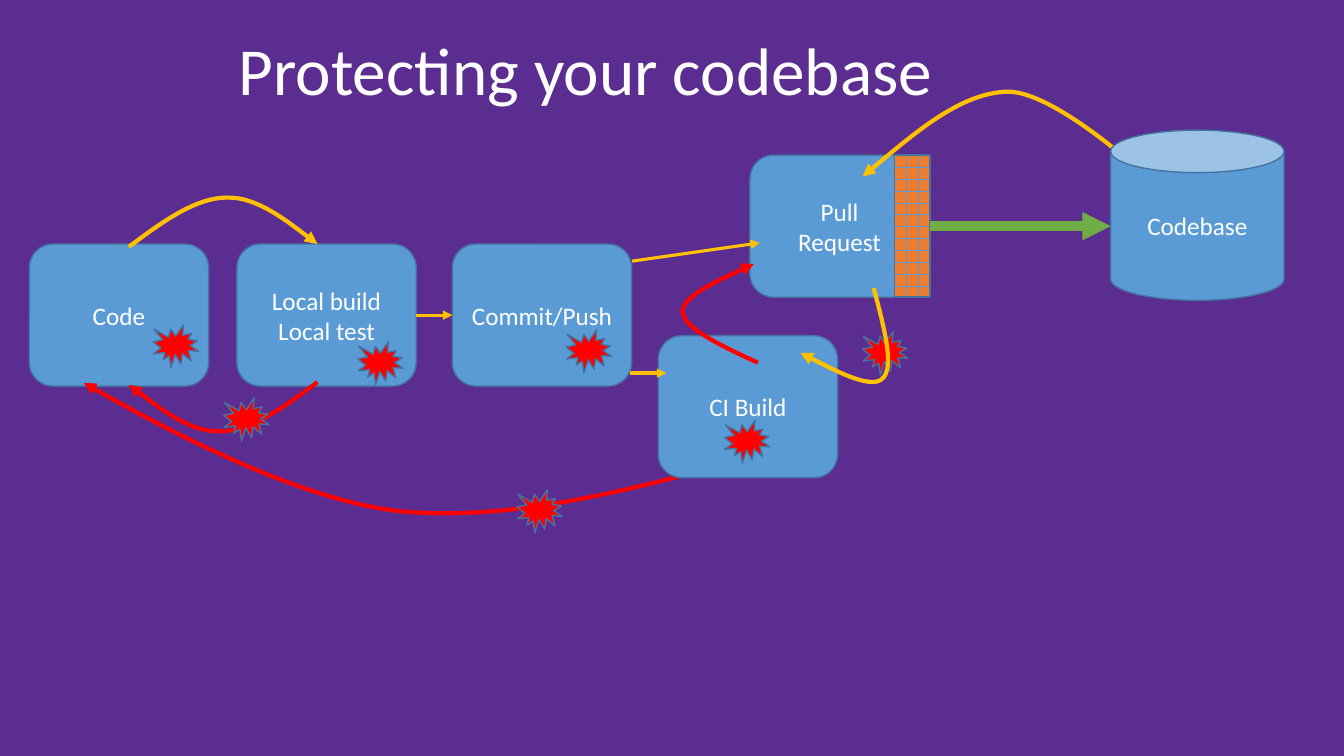
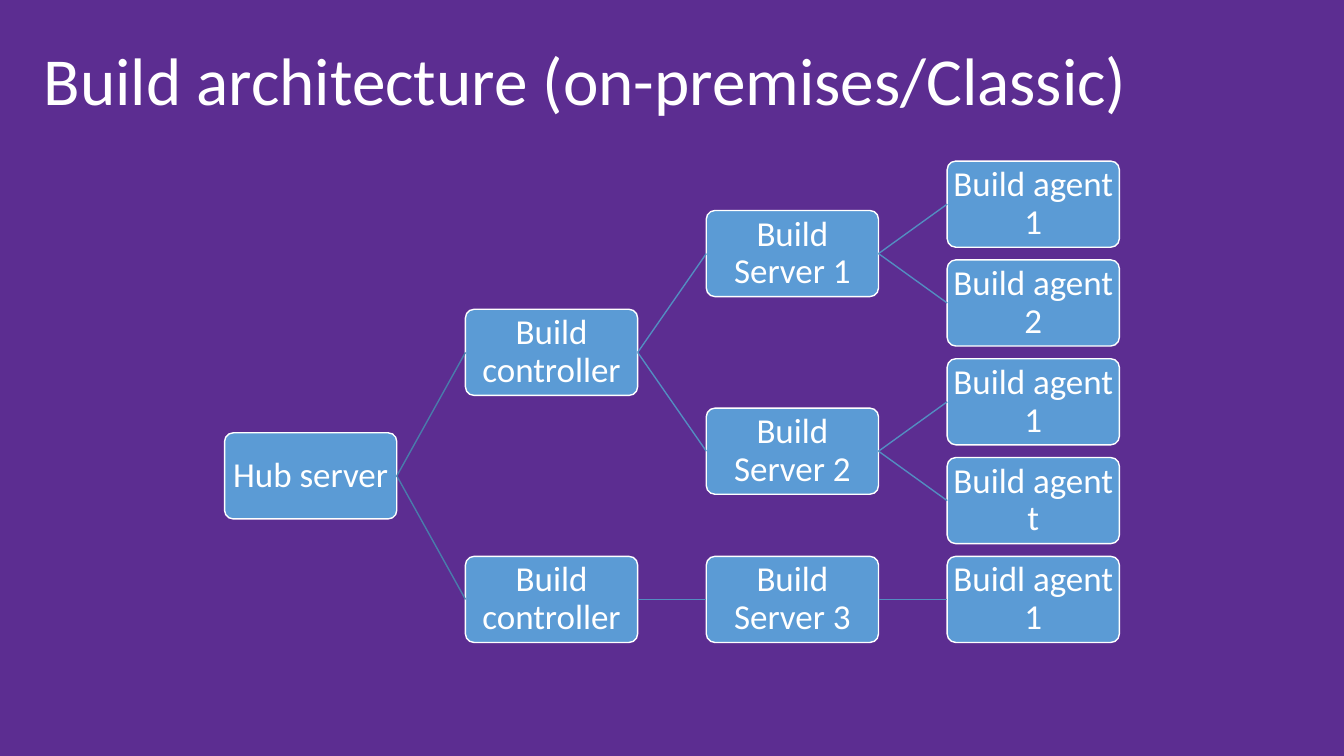
from lxml.etree import SubElement
from pptx import Presentation
from pptx.dml.color import RGBColor
from pptx.enum.dml import MSO_PATTERN
from pptx.enum.shapes import MSO_CONNECTOR, MSO_SHAPE
from pptx.enum.text import MSO_ANCHOR, PP_ALIGN
from pptx.oxml.ns import qn
from pptx.util import Cm, Pt

PURPLE = RGBColor(0x5C, 0x2D, 0x91)
WHITE = RGBColor(0xFF, 0xFF, 0xFF)
BLUE = RGBColor(0x5B, 0x9B, 0xD5)
NAVY = RGBColor(0x43, 0x73, 0x9E)
YELLOW = RGBColor(0xFF, 0xC0, 0x00)
RED = RGBColor(0xFF, 0x00, 0x00)
GREEN = RGBColor(0x70, 0xAD, 0x47)
ORANGE = RGBColor(0xED, 0x7D, 0x31)
BRANCHES = [RGBColor(0x49, 0x7C, 0xAB), RGBColor(0x53, 0x8D, 0xC1)]
FONT = "Calibri"

# Content of the workflow slide (all lengths in cm)
STEP_W, STEP_H = 4.52, 3.58
LOCAL_STEPS = [
    ("Code", 0.74, 6.15),
    ("Local build\nLocal test", 5.97, 6.15),
    ("Commit/Push", 11.4, 6.15),
]
SERVER_STEPS = [("CI Build", 16.59, 8.46), ("Pull\nRequest", 18.9, 3.91)]
SEAL_W, SEAL_H = 1.14, 1.09
SEALS = [(3.86, 8.18), (9.02, 8.61), (5.64, 10.03), (14.27, 8.31),
         (18.26, 10.59), (13.03, 12.34), (21.74, 8.36)]
GATE = (22.55, 3.91, 0.89, STEP_H)
STORE = (27.99, 3.28, 4.37, 4.29)
# Each curve: start, then control, control, end for every Bezier segment
REAR_CURVES = [
    (YELLOW, [(3.25, 6.22), (4.09, 5.59), (4.93, 4.98), (5.72, 4.98),
              (6.5, 4.95), (8, 6.15), (8, 6.15)]),
    (RED, [(8, 9.63), (7.16, 10.26), (6.32, 10.87), (5.54, 10.87),
           (4.75, 10.9), (3.25, 9.7), (3.25, 9.7)]),
    (RED, [(19.15, 11.46), (16.03, 12.32), (12.9, 13.16), (10.06, 12.88),
           (7.21, 12.57), (2.11, 9.65), (2.11, 9.65)]),
]
FRONT_CURVES = [
    (YELLOW, [(22.02, 7.26), (22.28, 8.26), (22.56, 9.27), (22.23, 9.55),
              (21.92, 9.83), (20.17, 8.89), (20.17, 8.89)]),
    (RED, [(19.1, 9.14), (18.16, 8.71), (17.22, 8.26), (17.2, 7.85),
           (17.2, 7.44), (19, 6.65), (19, 6.65)]),
    (YELLOW, [(28.78, 4.34), (28.78, 4.34), (26.57, 2.31), (25.4, 2.31),
              (24.23, 2.34), (22.99, 3.4), (21.74, 4.45)]),
]

# Content of the architecture slide: (label, children)
TREE = ("Hub server", [
    ("Build controller", [
        ("Build Server 1", [("Build agent 1", []), ("Build agent 2", [])]),
        ("Build Server 2", [("Build agent 1", []), ("Build agent t", [])]),
    ]),
    ("Build controller", [("Build Server 3", [("Buidl agent 1", [])])]),
])
NODE_W, NODE_H = 4.34, 2.17
TREE_LEFT, TREE_TOP = 5.66, 4.06
COL_STEP, ROW_STEP = 6.07, 2.49


def write(sp, text, size, spacing=None):
    tf = sp.text_frame
    tf.text = text
    tf.word_wrap = True
    tf.vertical_anchor = MSO_ANCHOR.MIDDLE
    for p in tf.paragraphs:
        p.alignment = PP_ALIGN.CENTER
        p.line_spacing = spacing
        for r in p.runs:
            r.font.name, r.font.size = FONT, Pt(size)
            r.font.color.rgb = WHITE
    return tf


def add_slide(prs, title, top):
    slide = prs.slides.add_slide(prs.slide_layouts[6])
    sp = slide.shapes.add_textbox(Cm(0.74), Cm(top), Cm(28.04), Cm(2.16))
    write(sp, title, 48, 0.9)
    return slide.shapes


def add_box(shapes, kind, x, y, w, h, fill=BLUE, line=NAVY):
    sp = shapes.add_shape(kind, Cm(x), Cm(y), Cm(w), Cm(h))
    sp.shadow.inherit = False
    sp.fill.solid()
    sp.fill.fore_color.rgb = fill
    sp.line.color.rgb = line
    sp.line.width = Pt(1)
    return sp


def style_line(sp, color, width, arrow=True):
    sp.line.color.rgb = color
    sp.line.width = Pt(width)
    if arrow:
        SubElement(sp.line._get_or_add_ln(), qn("a:tailEnd"), type="triangle")


def add_line(shapes, color, width, start=(0, 0), end=(0, 0), arrow=True):
    ends = [Cm(v) for v in (*start, *end)]
    cxn = shapes.add_connector(MSO_CONNECTOR.STRAIGHT, *ends)
    style_line(cxn, color, width, arrow)
    SubElement(cxn._element.spPr, qn("a:effectLst"))
    return cxn


def add_curve(shapes, color, points):
    start, *rest = [(Cm(x), Cm(y)) for x, y in points]
    builder = shapes.build_freeform(*start)
    builder.add_line_segments(rest, close=False)
    sp = builder.convert_to_shape()
    sp.shadow.inherit = False
    sp.fill.background()
    style_line(sp, color, 3)
    # Turn every three straight segments into one Bezier segment
    outline = next(sp._element.iter(qn("a:path")))
    segments = outline.findall(qn("a:lnTo"))
    for i in range(0, len(segments), 3):
        bezier = SubElement(outline, qn("a:cubicBezTo"))
        for segment in segments[i:i + 3]:
            bezier.append(segment[0])
            outline.remove(segment)


def add_steps(shapes, steps):
    boxes = []
    for text, x, y in steps:
        sp = add_box(shapes, MSO_SHAPE.ROUNDED_RECTANGLE, x, y, STEP_W, STEP_H)
        write(sp, text, 18)
        boxes.append(sp)
    return boxes


def build_workflow(prs):
    shapes = add_slide(prs, "Protecting your codebase", 0.79)
    _, local, commit = add_steps(shapes, LOCAL_STEPS)
    for color, points in REAR_CURVES:
        add_curve(shapes, color, points)
    add_steps(shapes, SERVER_STEPS)
    for x, y in SEALS:
        add_box(shapes, MSO_SHAPE.EXPLOSION1, x, y, SEAL_W, SEAL_H, RED)

    # Brick gate on the pull request
    gate = add_box(shapes, MSO_SHAPE.RECTANGLE, *GATE)
    gate.fill.patterned()
    gate.fill.pattern = MSO_PATTERN.HORIZONTAL_BRICK
    gate.fill.fore_color.rgb = BLUE
    gate.fill.back_color.rgb = ORANGE

    # Straight arrows
    cxn = add_line(shapes, YELLOW, 2.25)
    cxn.begin_connect(local, 3)
    cxn.end_connect(commit, 1)
    add_line(shapes, YELLOW, 2.25, (15.88, 9.4), (16.79, 9.4))
    add_line(shapes, YELLOW, 2.25, (15.93, 6.58), (19.15, 6.12))
    cxn = add_line(shapes, GREEN, 6.75, end=(STORE[0], 5.7))
    cxn.begin_connect(gate, 3)

    for color, points in FRONT_CURVES:
        add_curve(shapes, color, points)
    write(add_box(shapes, MSO_SHAPE.CAN, *STORE), "Codebase", 18)


def add_node(shapes, node, depth, row):
    """Draw a subtree; return its box, its top and the next free leaf row."""
    text, children = node
    boxes, tops = [], []
    top = TREE_TOP + row * ROW_STEP
    for child in children:
        box, child_top, row = add_node(shapes, child, depth + 1, row)
        boxes.append(box)
        tops.append(child_top)
    if children:
        top = sum(tops) / len(tops)
    else:
        row += 1
    sp = add_box(shapes, MSO_SHAPE.ROUNDED_RECTANGLE,
                 TREE_LEFT + depth * COL_STEP, top, NODE_W, NODE_H, line=WHITE)
    sp.adjustments[0] = 0.1
    tf = write(sp, text, 25, 0.9)
    tf.margin_left = tf.margin_right = Cm(0.05)
    tf.margin_top = tf.margin_bottom = Cm(0.05)
    for box in boxes:
        cxn = add_line(shapes, BRANCHES[min(depth, 1)], 1, arrow=False)
        cxn.begin_connect(sp, 3)
        cxn.end_connect(box, 1)
    return sp, top, row


def build_architecture(prs):
    shapes = add_slide(prs, "Build architecture (on-premises/Classic)", 1.04)
    add_node(shapes, TREE, 0, 0)


def main():
    prs = Presentation()
    prs.slide_width, prs.slide_height = Cm(33.87), Cm(19.05)
    # Shared background
    fill = prs.slide_master.background.fill
    fill.solid()
    fill.fore_color.rgb = PURPLE
    build_workflow(prs)
    build_architecture(prs)
    prs.save("out.pptx")


if __name__ == "__main__":
    main()
